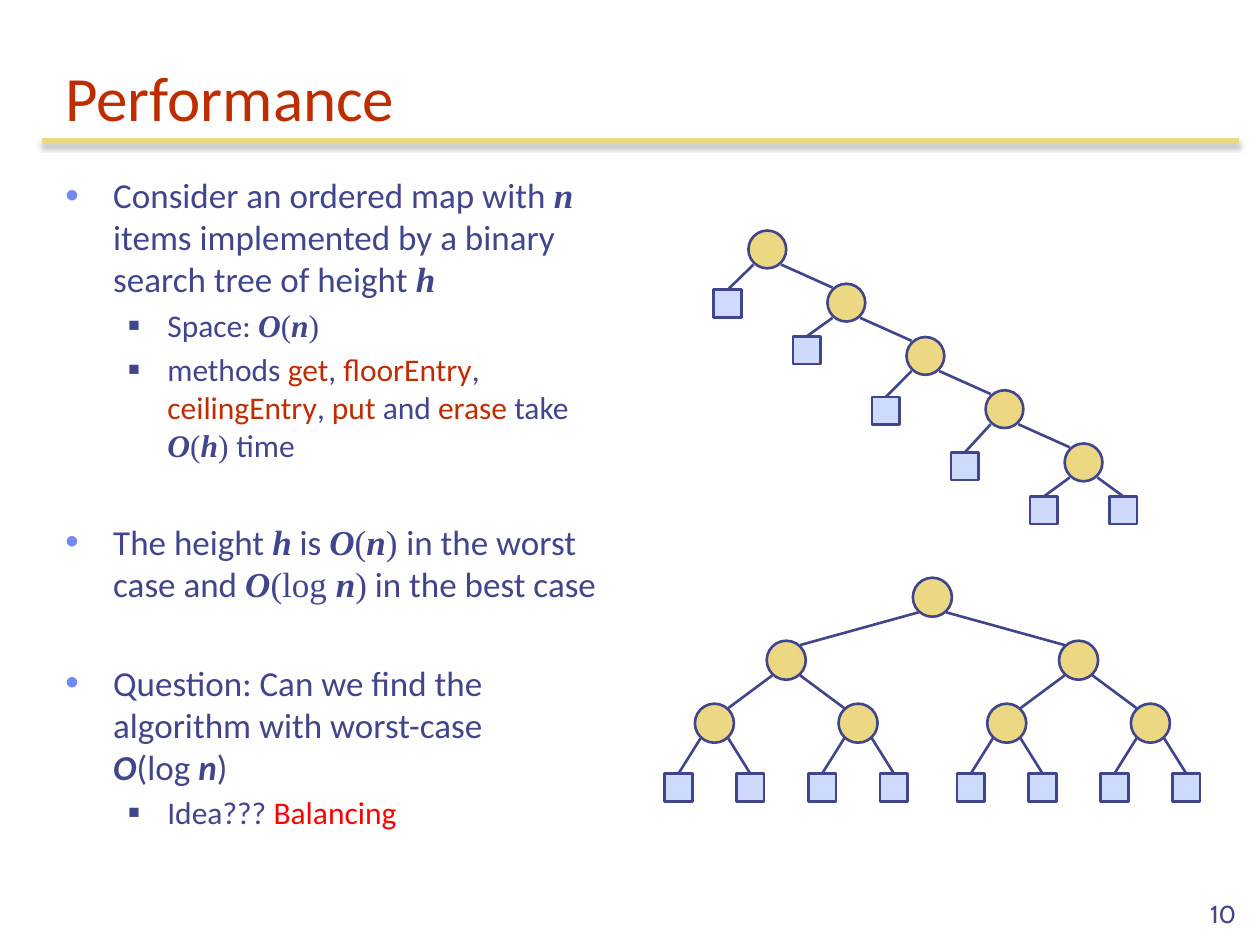
"""Build a slide on binary search tree performance with a worst-case and a best-case tree."""
import pptx
import pptx.dml.color
import pptx.enum.shapes
import pptx.enum.text
import pptx.oxml
import pptx.oxml.ns
import pptx.util
from lxml import etree

Inches, Pt = pptx.util.Inches, pptx.util.Pt
RGB = pptx.dml.color.RGBColor.from_string
SHAPE = pptx.enum.shapes.MSO_SHAPE
ANCHOR = pptx.enum.text.MSO_ANCHOR
COLORS = {"ink": "40458C", "accent": "BE2D00", "gold": "ECD882", "leaf": "CFDBFD",
          "bullet": "6F89F7", "alert": "FF0000"}
NS = pptx.oxml.ns.nsdecls("a")

deck = pptx.Presentation()
deck.slide_width, deck.slide_height = Inches(10), Inches(7.5)
slide = deck.slides.add_slide(deck.slide_layouts[6])


def add_line(start, end, color, width):
    line = slide.shapes.add_connector(
        pptx.enum.shapes.MSO_CONNECTOR.STRAIGHT, *[Inches(v) for v in (*start, *end)])
    line.line.color.rgb = RGB(COLORS[color])
    line.line.width = Pt(width)
    return etree.SubElement(line._element.spPr, pptx.oxml.ns.qn("a:effectLst"))


def add_text(left, top, width, height, anchor):
    frame = slide.shapes.add_textbox(*[Inches(v) for v in (left, top, width, height)]).text_frame
    frame.word_wrap = True
    frame.vertical_anchor = anchor
    return frame


rule_effects = add_line((0.33, 1.12), (9.83, 1.12), "gold", 3)
rule_effects.append(pptx.oxml.parse_xml(
    f'<a:outerShdw {NS} blurRad="{Pt(3.1)}" dist="{Pt(1.8)}" dir="5400000" rotWithShape="0">'
    '<a:srgbClr val="000000"><a:alpha val="35000"/></a:srgbClr></a:outerShdw>'))

title = add_text(0.42, 0.33, 9.33, 0.78, ANCHOR.BOTTOM).paragraphs[0]
title.text = "Performance"
title.font.size, title.font.name = Pt(36), "Calibri"
title.font.color.rgb = RGB(COLORS["accent"])

number = add_text(7.83, 6.92, 2.08, 0.5, ANCHOR.BOTTOM).paragraphs[0]
number.text = "10"
number.alignment = pptx.enum.text.PP_ALIGN.RIGHT
number.font.size, number.font.name = Pt(14), "Cabin"
number.font.color.rgb = RGB(COLORS["ink"])

STYLES = {
    "plain": ("Calibri", False, "ink"),
    "strong": ("Calibri", True, "ink"),
    "math": ("Times New Roman", False, "ink"),
    "variable": ("Times New Roman", True, "ink"),
    "method": ("Calibri", False, "accent"),
    "answer": ("Calibri", False, "alert"),
}
LEVELS = [
    {"margin": 0.38, "indent": -0.38, "size": 20, "char": "•", "scale": 110, "color": "bullet"},
    {"margin": 0.81, "indent": -0.31, "size": 18, "char": "■", "scale": 60, "color": "ink"},
]
points = [
    (0, 4, [("Consider an ordered map with ", "plain"), ("n", "variable"),
            (" items implemented by a binary search tree of height ", "plain"),
            ("h", "variable")]),
    (1, 3.6, [("Space: ", "plain"), ("O", "variable"), ("(", "math"), ("n", "variable"),
              (")", "math")]),
    (1, 3.6, [("methods ", "plain"), ("get", "method"), (", ", "plain"),
              ("floorEntry", "method"), (", ", "plain"), ("ceilingEntry", "method"),
              (",", "plain"), (" put ", "method"), ("and ", "plain"), ("erase", "method"),
              (" take ", "plain"), ("O", "variable"), ("(", "math"), ("h", "variable"),
              (") ", "math"), ("time", "plain")]),
    (0, 32.4, [("The height ", "plain"), ("h", "variable"), (" is ", "plain"),
               ("O", "variable"), ("(", "math"), ("n", "variable"), (") ", "math"),
               ("in the worst case and ", "plain"), ("O", "variable"), ("(log ", "math"),
               ("n", "variable"), (")", "math"), (" in the best case", "plain")]),
    (0, 32.4, [("Question: Can we find the algorithm with worst-case ", "plain"),
               ("\n", "plain"), ("O", "strong"), ("(log ", "plain"), ("n", "strong"),
               (")", "plain")]),
    (1, 3.6, [("Idea??? ", "plain"), ("Balancing", "answer")]),
]
body = add_text(0.42, 1.33, 4.42, 5.76, ANCHOR.TOP)
for index, (depth, gap, pieces) in enumerate(points):
    point = body.add_paragraph() if index else body.paragraphs[0]
    level = LEVELS[depth]
    props = point._p.get_or_add_pPr()
    props.set("marL", str(Inches(level["margin"])))
    props.set("indent", str(Inches(level["indent"])))
    for bullet in (
            f'<a:buClr {NS}><a:srgbClr val="{COLORS[level["color"]]}"/></a:buClr>',
            f'<a:buSzPct {NS} val="{level["scale"] * 1000}"/>',
            f'<a:buFont {NS} typeface="Arial"/>',
            f'<a:buChar {NS} char="{level["char"]}"/>'):
        props.append(pptx.oxml.parse_xml(bullet))
    point.level = depth
    point.space_before = Pt(gap)
    point.font.size = Pt(level["size"])
    for text, style in pieces:
        if text == "\n":
            point.add_line_break()
            continue
        run = point.add_run()
        run.text = text
        run.font.name, emphasis, color = STYLES[style]
        run.font.bold = run.font.italic = emphasis
        run.font.color.rgb = RGB(COLORS[color])

nodes, leaves, edges = [], [], []
REACH_X, REACH_Y, LEAF = 0.11, 0.12, 0.22

chain = [(6.09 + 0.6275 * step, 1.98 + 0.4225 * step) for step in range(5)]
leaf_tops = [2.3, 2.67, 3.15, 3.59, 3.94]
for step, ((x, y), leaf_top) in enumerate(zip(chain, leaf_tops)):
    nodes.append((x, y, 0.3))
    sides = (-1, 1) if step == len(chain) - 1 else (-1,)
    for side in sides:
        leaves.append((x + side * 0.315, leaf_top))
        edges.append(((x + side * REACH_X, y + REACH_Y), (x + side * 0.315, leaf_top)))
for (x, y), (next_x, next_y) in zip(chain, chain[1:]):
    edges.append(((x + REACH_X, y + REACH_Y), (next_x - REACH_X, next_y - REACH_Y)))

row, y = [7.4], 4.74
for spread in (1.16, 0.57, 0.285):
    nodes += [(x, y, 0.31) for x in row]
    children = []
    for x in row:
        for side in (-1, 1):
            child = x + side * spread
            children.append(child)
            if spread == 0.285:
                leaves.append((child, 6.14))
                end = (child, 6.14)
            else:
                end = (child - side * REACH_X, y + 0.5 - REACH_Y)
            edges.append(((x + side * REACH_X, y + REACH_Y), end))
    row, y = children, y + 0.5

for start, end in edges:
    add_line(start, end, "ink", 1.5)
marks = [(SHAPE.OVAL, x - size / 2, y - size / 2, size, "gold") for x, y, size in nodes]
marks += [(SHAPE.RECTANGLE, x - LEAF / 2, top, LEAF, "leaf") for x, top in leaves]
for outline, left, top, size, color in marks:
    mark = slide.shapes.add_shape(outline, *[Inches(v) for v in (left, top, size, size)])
    mark.shadow.inherit = False
    mark.fill.solid()
    mark.fill.fore_color.rgb = RGB(COLORS[color])
    mark.line.color.rgb = RGB(COLORS["ink"])
    mark.line.width = Pt(1.5)

deck.save("out.pptx")
